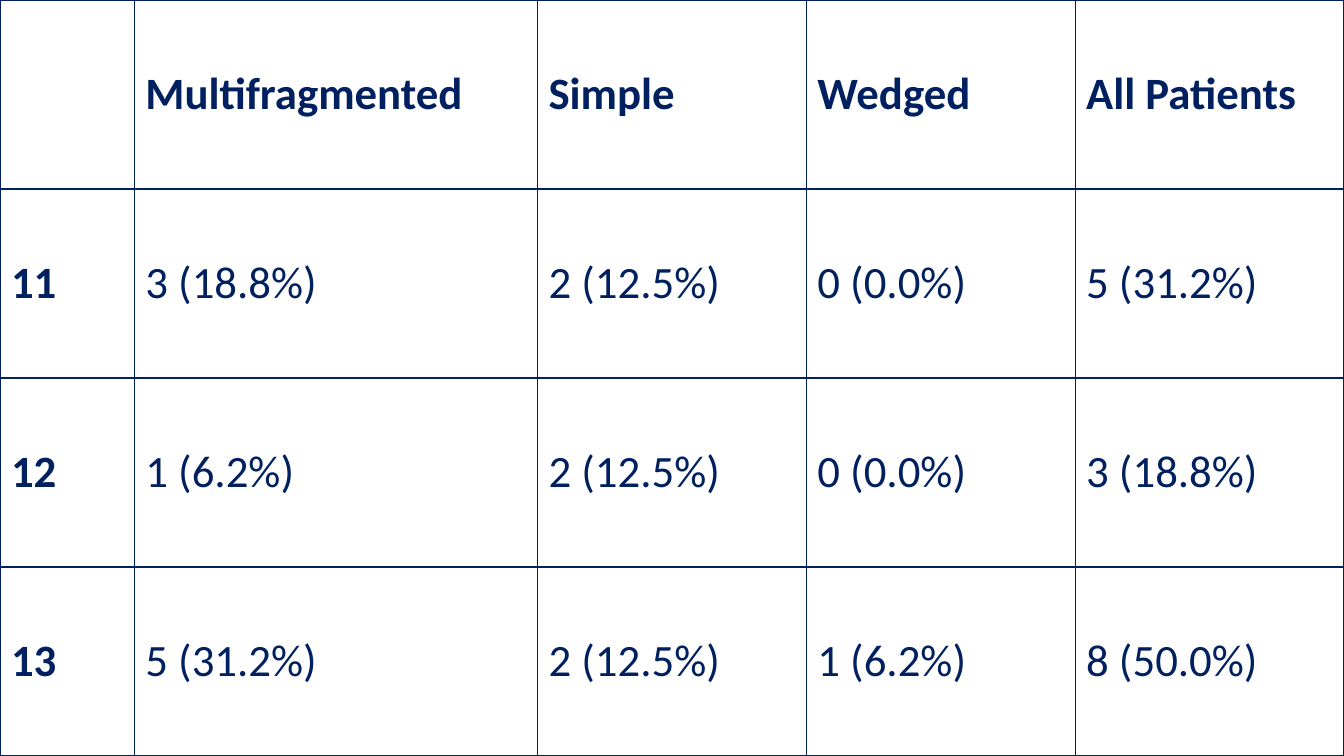
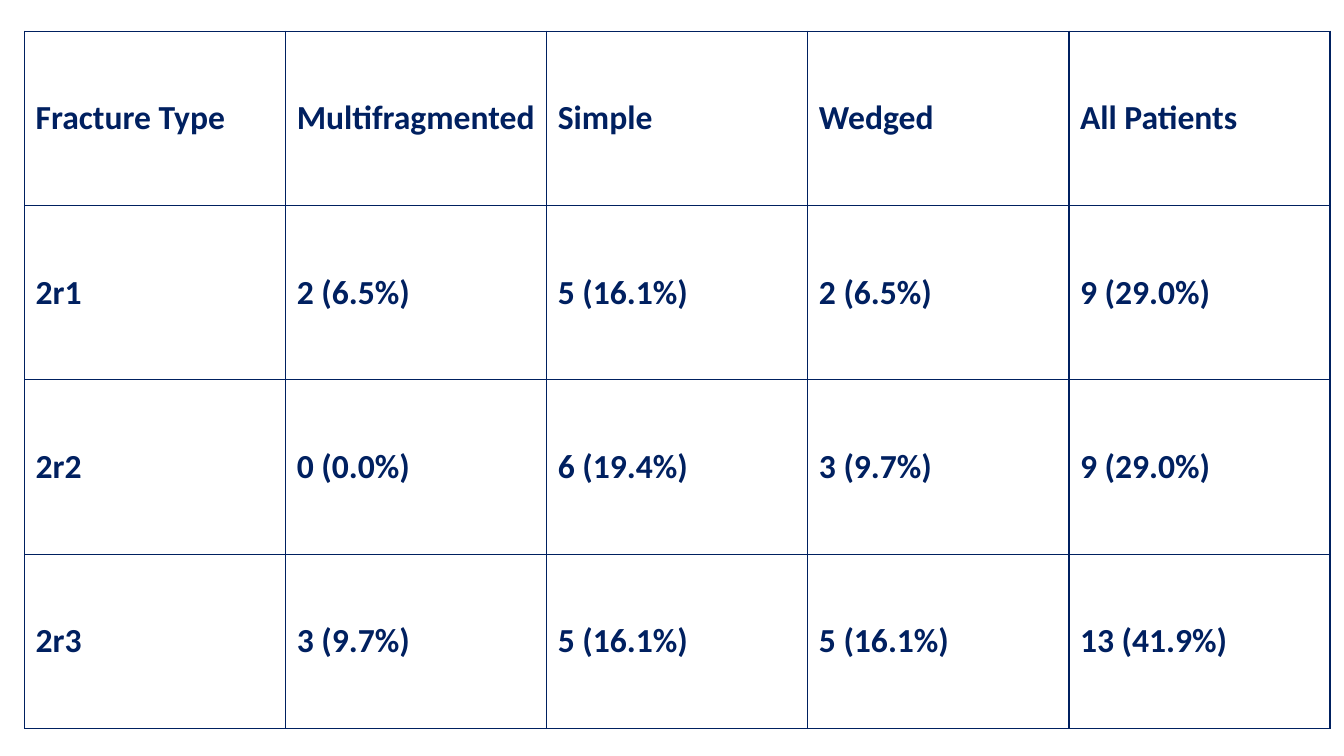
from lxml.etree import SubElement
from pptx import Presentation
from pptx.dml.color import RGBColor
from pptx.enum.text import MSO_ANCHOR
from pptx.oxml.ns import qn
from pptx.util import Pt

NAVY = "002060"
WHITE = "FFFFFF"
FONT = "Calibri"
SLIDE_WIDTH, SLIDE_HEIGHT = 960, 540
BLANK_LAYOUT = 6
FRACTURE_PATTERNS = ["Multifragmented", "Simple", "Wedged", "All Patients"]

BONE_SEGMENTS = [
    ["", *FRACTURE_PATTERNS],
    ["11", "3 (18.8%)", "2 (12.5%)", "0 (0.0%)", "5 (31.2%)"],
    ["12", "1 (6.2%)", "2 (12.5%)", "0 (0.0%)", "3 (18.8%)"],
    ["13", "5 (31.2%)", "2 (12.5%)", "1 (6.2%)", "8 (50.0%)"],
]
FRACTURE_TYPES = [
    ["Fracture Type", *FRACTURE_PATTERNS],
    ["2r1", "2 (6.5%)", "5 (16.1%)", "2 (6.5%)", "9 (29.0%)"],
    ["2r2", "0 (0.0%)", "6 (19.4%)", "3 (9.7%)", "9 (29.0%)"],
    ["2r3", "3 (9.7%)", "5 (16.1%)", "5 (16.1%)", "13 (41.9%)"],
]


def paint(color_format, hex_color):
    """Set a colour from a hex string."""
    color_format.rgb = RGBColor.from_string(hex_color)


def add_borders(cell, hex_color, width):
    """Draw a solid line on all four sides of a cell."""
    properties = cell._tc.get_or_add_tcPr()
    for side in ("a:lnL", "a:lnR", "a:lnT", "a:lnB"):
        line = SubElement(properties, qn(side), w=str(Pt(width)))
        fill = SubElement(line, qn("a:solidFill"))
        SubElement(fill, qn("a:srgbClr"), val=hex_color)


def format_cell(cell, text, size, bold):
    """Write one cell in the shared table style."""
    cell.margin_left = cell.margin_right = Pt(7.9)
    cell.margin_top = cell.margin_bottom = Pt(3.6)
    cell.vertical_anchor = MSO_ANCHOR.MIDDLE
    add_borders(cell, NAVY, 1)
    cell.fill.solid()
    paint(cell.fill.fore_color, WHITE)
    cell.text = text
    font = cell.text_frame.paragraphs[0].font
    font.name, font.size, font.bold = FONT, Pt(size), bold
    paint(font.color, NAVY)


def add_table_slide(deck, rows, box, column_shares, size, bold_counts):
    """Add a slide whose table fills the given box."""
    slide = deck.slides.add_slide(deck.slide_layouts[BLANK_LAYOUT])
    left, top, width, height = box
    table = slide.shapes.add_table(
        len(rows), len(column_shares), Pt(left), Pt(top), Pt(width), Pt(height)
    ).table
    for column, share in zip(table.columns, column_shares):
        column.width = Pt(width * share / sum(column_shares))
    for row_index, row in enumerate(rows):
        table.rows[row_index].height = Pt(height / len(rows))
        for column_index, text in enumerate(row):
            is_heading = row_index == 0 or column_index == 0
            format_cell(table.cell(row_index, column_index), text, size,
                        is_heading or bold_counts)


def main():
    """Build and save the two fracture tables."""
    deck = Presentation()
    deck.slide_width, deck.slide_height = Pt(SLIDE_WIDTH), Pt(SLIDE_HEIGHT)
    add_table_slide(deck, BONE_SEGMENTS, (0, 0, SLIDE_WIDTH, SLIDE_HEIGHT),
                    (1, 3, 2, 2, 2), size=32, bold_counts=False)
    add_table_slide(deck, FRACTURE_TYPES, (17.6, 22.3, 932.5, 498),
                    (1, 1, 1, 1, 1), size=24, bold_counts=True)
    deck.save("out.pptx")


if __name__ == "__main__":
    main()
